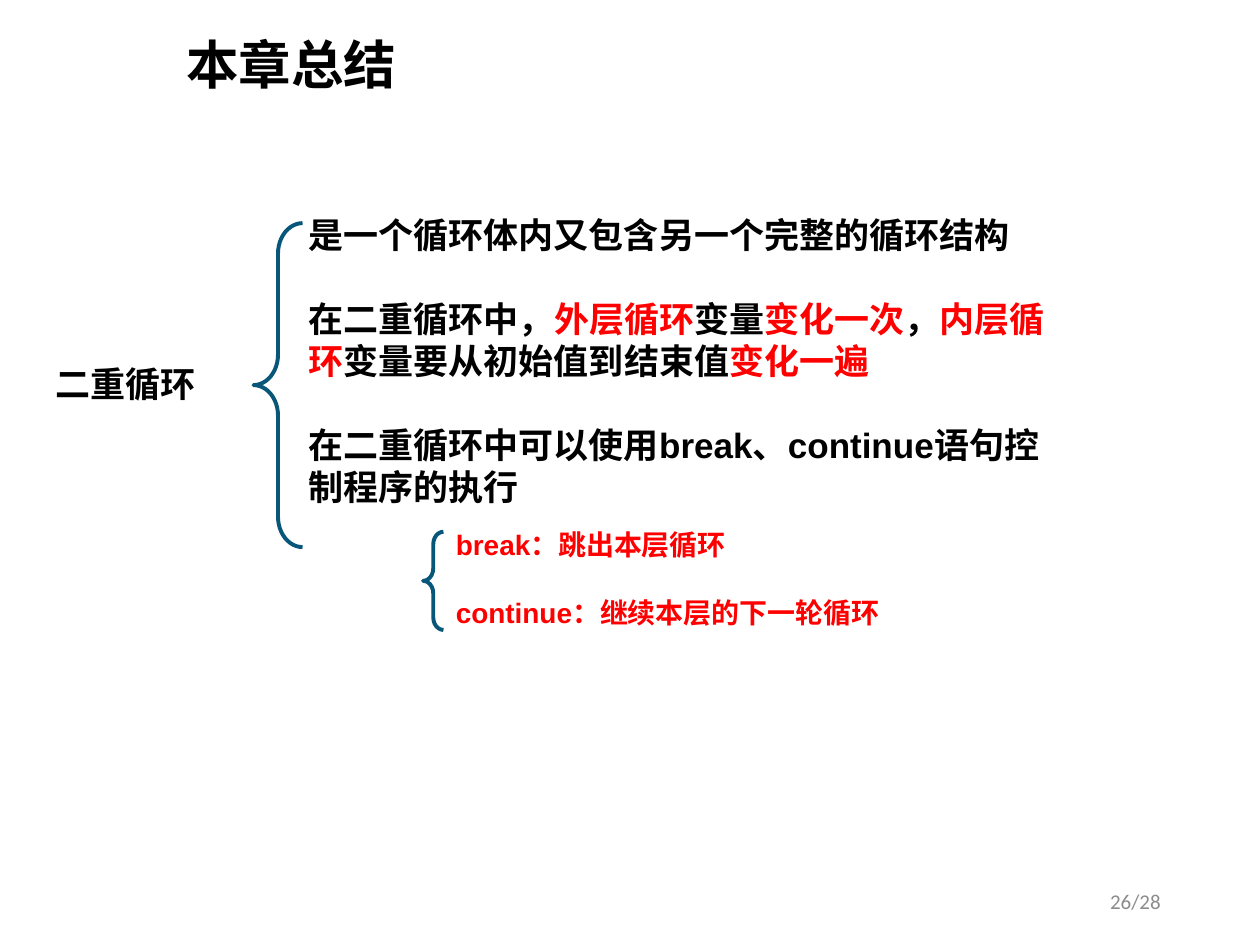
from lxml import etree
from pptx import Presentation
from pptx.dml.color import RGBColor
from pptx.enum.shapes import MSO_SHAPE
from pptx.enum.text import MSO_ANCHOR, PP_ALIGN
from pptx.oxml.ns import qn
from pptx.util import Cm, Pt

LEFT_BRACE = MSO_SHAPE.LEFT_BRACE
LEFT, CENTER, RIGHT = PP_ALIGN.LEFT, PP_ALIGN.CENTER, PP_ALIGN.RIGHT
TOP, MIDDLE = MSO_ANCHOR.TOP, MSO_ANCHOR.MIDDLE
CHINESE_FONT = "Noto Sans CJK SC"
BLACK, RED, BLUE, GRAY = "000000", "FF0000", "08577A", "8C8C8C"
TITLE_ONLY = 5

POINTS = [
    [("是一个循环体内又包含另一个完整的循环结构", BLACK)],
    [("在二重循环中，", BLACK), ("外层循环", RED), ("变量", BLACK),
     ("变化一次", RED), ("，", BLACK), ("内层循环", RED),
     ("变量要从初始值到结束值", BLACK), ("变化一遍", RED)],
    [("在二重循环中可以使用break、continue语句控制程序的执行", BLACK)],
]
STATEMENTS = [
    [("break：跳出本层循环", RED)],
    [("continue：继续本层的下一轮循环", RED)],
]


def color(value):
    return RGBColor.from_string(value)


def format_run(run, size, value, font="Arial", bold=True):
    run.font.size = Pt(size)
    run.font.name = font
    run.font.bold = bold
    run.font.color.rgb = color(value)
    east_asian = etree.SubElement(run._r.get_or_add_rPr(), qn("a:ea"))
    east_asian.set("typeface", CHINESE_FONT)


def add_text(slide, box, paragraphs, size, align=LEFT, anchor=TOP, **font):
    text_frame = slide.shapes.add_textbox(*box).text_frame
    text_frame.word_wrap = True
    text_frame.vertical_anchor = anchor
    line_height = Pt(size * 1.2)
    for index, parts in enumerate(paragraphs):
        paragraph = text_frame.add_paragraph() if index else text_frame.paragraphs[0]
        paragraph.alignment = align
        paragraph.line_spacing = line_height
        paragraph.space_before = line_height if index else 0
        for text, value in parts:
            run = paragraph.add_run()
            run.text = text
            format_run(run, size, value, **font)


def add_brace(slide, box):
    brace = slide.shapes.add_shape(LEFT_BRACE, *box)
    brace.shadow.inherit = False
    brace.adjustments[0] = 0.62
    brace.fill.background()
    brace.line.color.rgb = color(BLUE)
    brace.line.width = Pt(2.25)


def set_title(slide, box, text):
    title = slide.shapes.title
    title.left, title.top, title.width, title.height = box
    text_frame = title.text_frame
    text_frame.text = text
    text_frame.vertical_anchor = MIDDLE
    paragraph = text_frame.paragraphs[0]
    paragraph.alignment = LEFT
    paragraph.line_spacing = 0.9
    format_run(paragraph.runs[0], 30, BLACK, CHINESE_FONT)


def add_loop_summary(slide, left, top):
    add_text(slide, (left, top + Cm(3.02), Cm(5.05), Cm(1.12)),
             [[("二重循环", BLACK)]], 20, CENTER)
    add_brace(slide, (left + Cm(5.11), top + Cm(0.33), Cm(0.99), Cm(6.53)))
    add_text(slide, (left + Cm(5.97), top, Cm(15.47), Cm(7.09)), POINTS, 20)


def add_statement_summary(slide, left, top):
    add_brace(slide, (left, top + Cm(0.2), Cm(0.41), Cm(1.98)))
    add_text(slide, (left + Cm(0.41), top, Cm(10.46), Cm(2.31)), STATEMENTS, 16)


def add_page_number(slide, box):
    add_text(slide, box, [[("26/28", GRAY)]], 12, RIGHT, MIDDLE,
             font="Calibri", bold=False)


def main():
    presentation = Presentation()
    presentation.slide_width, presentation.slide_height = Cm(25.4), Cm(19.05)
    slide = presentation.slides.add_slide(presentation.slide_layouts[TITLE_ONLY])
    set_title(slide, (Cm(3.5), Cm(0.25), Cm(21.9), Cm(2.21)), "本章总结")
    add_loop_summary(slide, Cm(0), Cm(4.17))
    add_statement_summary(slide, Cm(8.53), Cm(10.52))
    add_page_number(slide, (Cm(17.93), Cm(17.65), Cm(5.72), Cm(1.02)))
    presentation.save("out.pptx")


if __name__ == "__main__":
    main()
